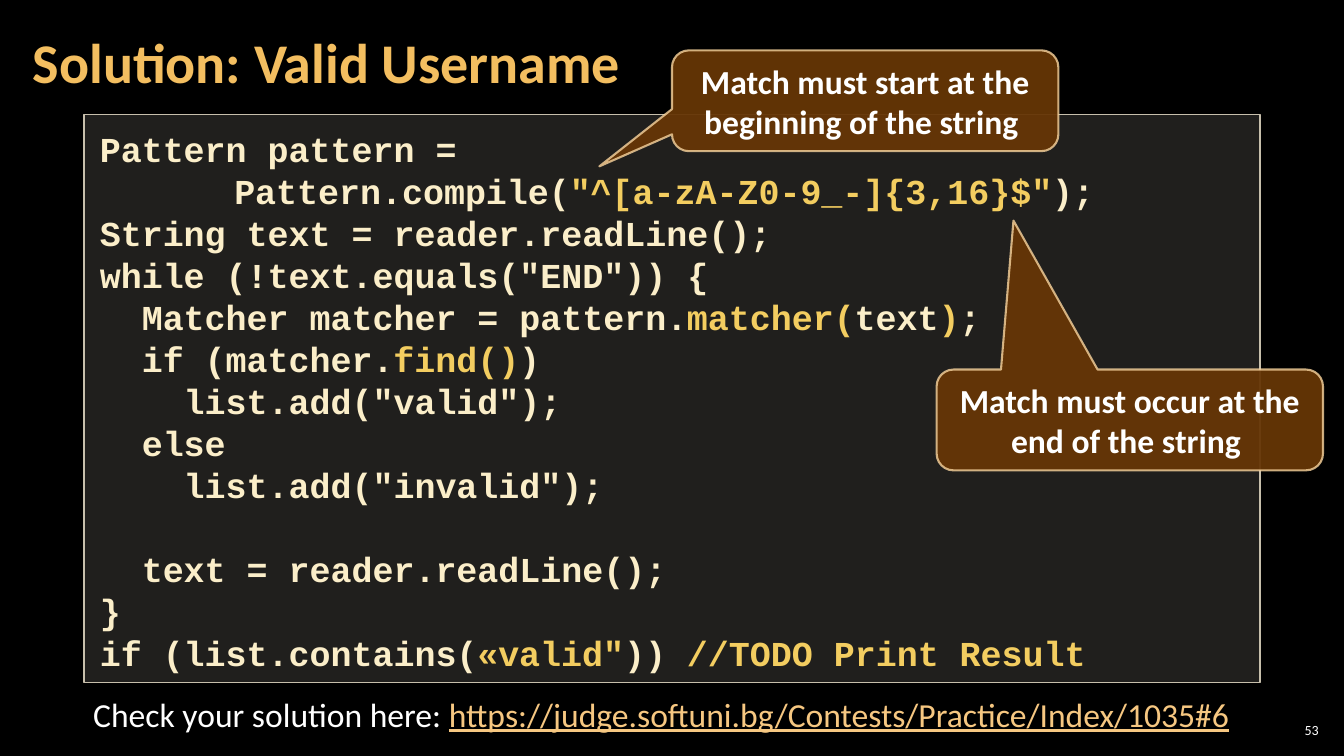
from lxml import etree
from pptx import Presentation
from pptx.dml.color import RGBColor
from pptx.enum.shapes import MSO_SHAPE
from pptx.enum.text import MSO_ANCHOR, PP_ALIGN
from pptx.oxml.ns import qn
from pptx.util import Pt

RECT = MSO_SHAPE.RECTANGLE
CALLOUT = MSO_SHAPE.ROUNDED_RECTANGULAR_CALLOUT
TOP, MIDDLE = MSO_ANCHOR.TOP, MSO_ANCHOR.MIDDLE
LEFT, CENTER, RIGHT = PP_ALIGN.LEFT, PP_ALIGN.CENTER, PP_ALIGN.RIGHT

COLORS = {
    "background": "000000", "white": "FFFFFF", "title": "F3BE60",
    "code": "FBEEC9", "highlight": "F3CD60", "link": "F6C781",
    "panel": "D9D5C7", "panel_line": "C7BFAC",
    "callout": "663606", "callout_line": "F8D49E",
}
CODE_LINE = 30  # line pitch in points
CODE_TAB = 96

# Each line is a list of parts; a tuple holds highlighted code
CODE = [
    ["Pattern pattern ="],
    ["\tPattern.compile(", ('"^[a-zA-Z0-9_-]{3,16}$"',), ");"],
    ["String text = reader.readLine();"],
    ['while (!text.equals("END")) {'],
    ["  Matcher matcher = pattern.", ("matcher(",), "text", (")",), ";"],
    ["  if (matcher.", ("find()",), ")"],
    ['    list.add("valid");'],
    ["  else"],
    ['    list.add("invalid");'],
    ["  text = reader.readLine();"],
    ["}"],
    ["if (list.contains(", ('«valid"',), ")) ", ("//TODO Print Result",)],
]
LINE_AFTER_GAP = 9


def rgb(name):
    return RGBColor.from_string(COLORS[name])


def set_opacity(fill, percent):
    color = fill._xPr.find(qn("a:solidFill"))[0]
    etree.SubElement(color, qn("a:alpha"), val=str(percent * 1000))


def add_run(paragraph, text, *, size, color, font="Calibri", bold=False, underline=False):
    run = paragraph.add_run()
    run.text = text
    run.font.size = Pt(size)
    run.font.name = font
    run.font.bold = bold
    run.font.underline = underline
    run.font.color.rgb = rgb(color)


def set_frame(shape, anchor=TOP, insets=(7.2, 3.6, 7.2, 3.6)):
    frame = shape.text_frame
    frame.word_wrap = True
    frame.vertical_anchor = anchor
    (frame.margin_left, frame.margin_top,
     frame.margin_right, frame.margin_bottom) = map(Pt, insets)
    return frame


def add_label(slide, box, align, anchor=TOP, insets=(7.2, 3.6, 7.2, 3.6)):
    label = slide.shapes.add_textbox(*map(Pt, box))
    paragraph = set_frame(label, anchor, insets).paragraphs[0]
    paragraph.alignment = align
    return paragraph


def add_box(slide, kind, box, fill, opacity, line, line_width):
    shape = slide.shapes.add_shape(kind, *map(Pt, box))
    shape.shadow.inherit = False
    shape.fill.solid()
    shape.fill.fore_color.rgb = rgb(fill)
    set_opacity(shape.fill, opacity)
    shape.line.color.rgb = rgb(line)
    shape.line.width = Pt(line_width)
    return shape


def add_code_panel(slide, box):
    panel = add_box(slide, RECT, box, "panel", 15, "panel_line", 1)
    frame = set_frame(panel, TOP, (11.3, 9, 11.3, 5.7))
    for number, parts in enumerate(CODE):
        line = frame.add_paragraph() if number else frame.paragraphs[0]
        line.alignment = LEFT
        line.line_spacing = Pt(CODE_LINE)
        if number == LINE_AFTER_GAP:
            line.space_before = Pt(CODE_LINE)
        if parts[0].startswith("\t"):
            stops = etree.SubElement(line._p.get_or_add_pPr(), qn("a:tabLst"))
            etree.SubElement(stops, qn("a:tab"), pos=str(Pt(CODE_TAB)), algn="l")
        for part in parts:
            marked = isinstance(part, tuple)
            add_run(line, part[0] if marked else part, size=25, font="Courier New",
                    bold=True, color="highlight" if marked else "code")


def add_callout(slide, left, top, tip, text):
    callout = add_box(slide, CALLOUT, (left, top, 276, 72),
                      "callout", 95, "callout_line", 1.5)
    set_opacity(callout.line.fill, 80)
    callout.adjustments[0], callout.adjustments[1] = tip
    callout.adjustments[2] = 0.167
    paragraph = set_frame(callout, MIDDLE).paragraphs[0]
    paragraph.alignment = CENTER
    add_run(paragraph, text, size=24, color="white", bold=True)


def main():
    prs = Presentation()
    prs.slide_width, prs.slide_height = Pt(960), Pt(540)
    slide = prs.slides.add_slide(prs.slide_layouts[6])
    slide.background.fill.solid()
    slide.background.fill.fore_color.rgb = rgb("background")

    # Code listing
    add_code_panel(slide, (60, 82, 840, 405.4))

    # Slide number
    number = add_label(slide, (910.8, 514, 34, 15), RIGHT, MIDDLE, (2.9,) * 4)
    add_run(number, "53", size=10, color="white")

    # Title
    title = add_label(slide, (15, 3, 754, 87), LEFT, MIDDLE, (8.5, 2.9, 8.5, 2.9))
    title.line_spacing = 0.9
    add_run(title, "Solution: Valid Username", size=40, color="title", bold=True)

    # Explanations of the anchors in the pattern
    add_callout(slide, 669, 264, (-0.301, -1.978),
                "Match must occur at the end of the string ")
    add_callout(slide, 480, 36, (-0.688, 0.651),
                "Match must start at the beginning of the string ")

    # Link to the online check
    check = add_label(slide, (0, 492, 944.6, 36), CENTER)
    add_run(check, "Check your solution here: ", size=24, color="white")
    add_run(check, "https://judge.softuni.bg/Contests/Practice/Index/1035#6",
            size=24, color="link", underline=True)

    prs.save("out.pptx")


if __name__ == "__main__":
    main()
